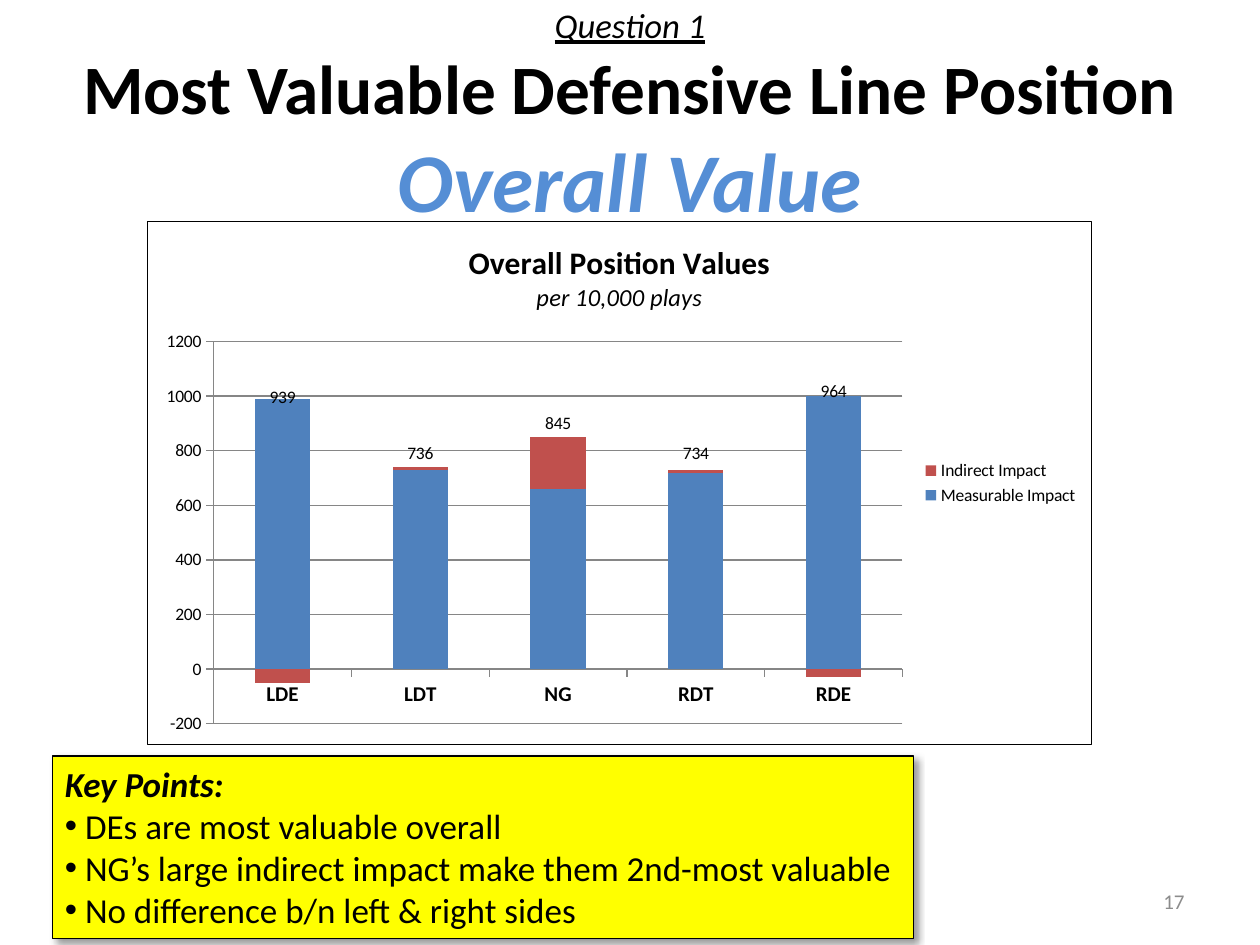
import pptx
import pptx.util
import pptx.oxml
import pptx.dml.color
import pptx.chart.data
import pptx.enum.chart
import pptx.enum.shapes
import pptx.enum.text
from pptx.oxml.ns import nsdecls, qn

Pt = pptx.util.Pt
Align = pptx.enum.text.PP_ALIGN
Anchor = pptx.enum.text.MSO_ANCHOR
Fit = pptx.enum.text.MSO_AUTO_SIZE
Enum = pptx.enum.chart

# Content
FONT = "Calibri"
HEAD = [
    ("Question 1", dict(size=19.8, bold=False, italic=True, under=True)),
    ("Most Valuable Defensive Line Position", dict(size=39.6, bold=True)),
    ("Overall Value", dict(size=47.7, bold=True, italic=True, color="558ED5")),
]
POINTS = [
    "DEs are most valuable overall",
    "NG’s large indirect impact make them 2nd-most valuable",
    "No difference b/n left & right sides",
]
CATS = ["LDE", "LDT", "NG", "RDT", "RDE"]
SERIES = [
    ("Measurable Impact", [990, 730, 660, 720, 1000], "4F81BD"),
    ("Indirect Impact", [-50, 10, 190, 10, -30], "C0504D"),
    ("Series 3", [939, 736, 845, 734, 964], None),
]
PLOT = dict(x=0.07, y=0.23, w=0.73, h=0.73)


def rgb(code):
    return pptx.dml.color.RGBColor.from_string(code)


def xml(text):
    return pptx.oxml.parse_xml(text)


def style(font, size, color="000000", bold=False, italic=False, under=False):
    font.name, font.size = FONT, Pt(size)
    font.bold, font.italic, font.underline = bold, italic, under
    font.color.rgb = rgb(color)


def put(para, text, **form):
    run = para.add_run()
    run.text = text
    style(run.font, **form)
    return run


def edge(line, color, width=0.75):
    line.color.rgb = rgb(color)
    line.width = Pt(width)


deck = pptx.Presentation()
deck.slide_width, deck.slide_height = Pt(720), Pt(540)
slide = deck.slides.add_slide(deck.slide_layouts[5])

# Slide number
box = slide.shapes.add_textbox(Pt(516), Pt(500.5), Pt(168), Pt(28.75))
box.text_frame.word_wrap = True
box.text_frame.vertical_anchor = Anchor.MIDDLE
para = box.text_frame.paragraphs[0]
para.alignment = Align.RIGHT
put(para, "17", size=12, color="8C8C8C")

# Title
title = slide.shapes.title
title.left, title.top, title.width, title.height = Pt(36), Pt(21.6), Pt(648), Pt(90)
title.text_frame.auto_size = Fit.NONE
title.text_frame.vertical_anchor = Anchor.MIDDLE
para = title.text_frame.paragraphs[0]
para.alignment = Align.CENTER
para.space_after = Pt(12)
for i, (text, form) in enumerate(HEAD):
    if i:
        para.add_line_break()
    run = put(para, text, **form)
run.font._element.insert(0, xml(
    f'<a:ln {nsdecls("a")} w="{Pt(0.75)}"><a:solidFill>'
    '<a:srgbClr val="000000"/></a:solidFill></a:ln>'))

# Key points
note = slide.shapes.add_shape(
    pptx.enum.shapes.MSO_SHAPE.RECTANGLE, Pt(30), Pt(432), Pt(492), Pt(104.5))
note.fill.solid()
note.fill.fore_color.rgb = rgb("FFFF00")
edge(note.line, "000000")
note.shadow.inherit = False
note._element.spPr.find(qn("a:effectLst")).append(xml(
    f'<a:outerShdw {nsdecls("a")} blurRad="{Pt(4)}" dist="{Pt(3)}" dir="2700000" '
    'algn="tl" rotWithShape="0"><a:srgbClr val="000000"><a:alpha val="40000"/>'
    '</a:srgbClr></a:outerShdw>'))
frame = note.text_frame
frame.word_wrap = True
frame.auto_size = Fit.SHAPE_TO_FIT_TEXT
frame.vertical_anchor = Anchor.TOP
para = frame.paragraphs[0]
para.alignment = Align.LEFT
put(para, "Key Points:", size=20, bold=True, italic=True)
for text in POINTS:
    para = frame.add_paragraph()
    para.alignment = Align.LEFT
    put(para, text, size=20)
    prop = para._p.get_or_add_pPr()
    prop.set("marL", str(Pt(11.5)))
    prop.set("indent", str(-Pt(11.5)))
    prop.append(xml(f'<a:buFont {nsdecls("a")} typeface="Arial"/>'))
    prop.append(xml(f'<a:buChar {nsdecls("a")} char="•"/>'))

# Chart
data = pptx.chart.data.CategoryChartData(number_format="0")
data.categories = CATS
for name, vals, color in SERIES:
    data.add_series(name, vals)
chart = slide.shapes.add_chart(
    Enum.XL_CHART_TYPE.COLUMN_STACKED, Pt(84), Pt(126), Pt(540), Pt(300), data).chart
style(chart.font, 10)
chart.has_title = True
para = chart.chart_title.text_frame.paragraphs[0]
put(para, "Overall Position Values", size=18, bold=True)
para = chart.chart_title.text_frame.add_paragraph()
put(para, "per 10,000 plays", size=14, italic=True)
chart.chart_title.include_in_layout = False
chart.has_legend = True
chart.legend.position = Enum.XL_LEGEND_POSITION.RIGHT
chart.legend.include_in_layout = False
style(chart.legend.font, 10)

# Axes
cat, val = chart.category_axis, chart.value_axis
style(cat.tick_labels.font, 12, bold=True)
style(val.tick_labels.font, 10)
val.minimum_scale, val.maximum_scale, val.major_unit = -200, 1200, 200
val.tick_labels.number_format = "0"
val.tick_labels.number_format_is_linked = False
val.has_major_gridlines = True
for line in (cat.format.line, val.format.line, val.major_gridlines.format.line):
    edge(line, "868686")

# Columns
plot = chart.plots[0]
plot.gap_width, plot.overlap, plot.vary_by_categories = 150, 100, False
for ser, (name, vals, color) in zip(plot.series, SERIES):
    if color:
        ser.invert_if_negative = False
        ser.format.fill.solid()
        ser.format.fill.fore_color.rgb = rgb(color)

# Totals: the third series becomes an unseen line that carries labels
bars = plot._element
total = bars.findall(qn("c:ser"))[2]
flip = total.find(qn("c:invertIfNegative"))
if flip is not None:
    total.remove(flip)
line = xml(f'<c:lineChart {nsdecls("c")}><c:grouping val="stacked"/>'
           '<c:varyColors val="0"/><c:marker val="1"/></c:lineChart>')
line.insert(2, total)
for axis in bars.findall(qn("c:axId")):
    line.append(xml(f'<c:axId {nsdecls("c")} val="{axis.get("val")}"/>'))
bars.addnext(line)
ser = chart.plots[1].series[0]
ser.smooth = False
ser.format.line.fill.background()
ser.marker.style = Enum.XL_MARKER_STYLE.NONE
tags = ser.data_labels
tags.show_value = True
tags.position = Enum.XL_LABEL_POSITION.ABOVE
tags.number_format, tags.number_format_is_linked = "0", False
style(tags.font, 10)
chart.legend._element.find(qn("c:legendPos")).addnext(xml(
    f'<c:legendEntry {nsdecls("c")}><c:idx val="2"/><c:delete val="1"/></c:legendEntry>'))

# Plot position and frame
area = bars.getparent()
old = area.find(qn("c:layout"))
if old is not None:
    area.remove(old)
spots = "".join(f'<c:{k} val="{v}"/>' for k, v in PLOT.items())
area.insert(0, xml(
    f'<c:layout {nsdecls("c")}><c:manualLayout><c:layoutTarget val="inner"/>'
    f'<c:xMode val="edge"/><c:yMode val="edge"/>{spots}</c:manualLayout></c:layout>'))
chart._chartSpace.find(qn("c:chart")).addnext(xml(
    f'<c:spPr {nsdecls("c", "a")}><a:noFill/><a:ln w="{Pt(0.75)}"><a:solidFill>'
    '<a:srgbClr val="000000"/></a:solidFill></a:ln></c:spPr>'))

deck.save("out.pptx")
